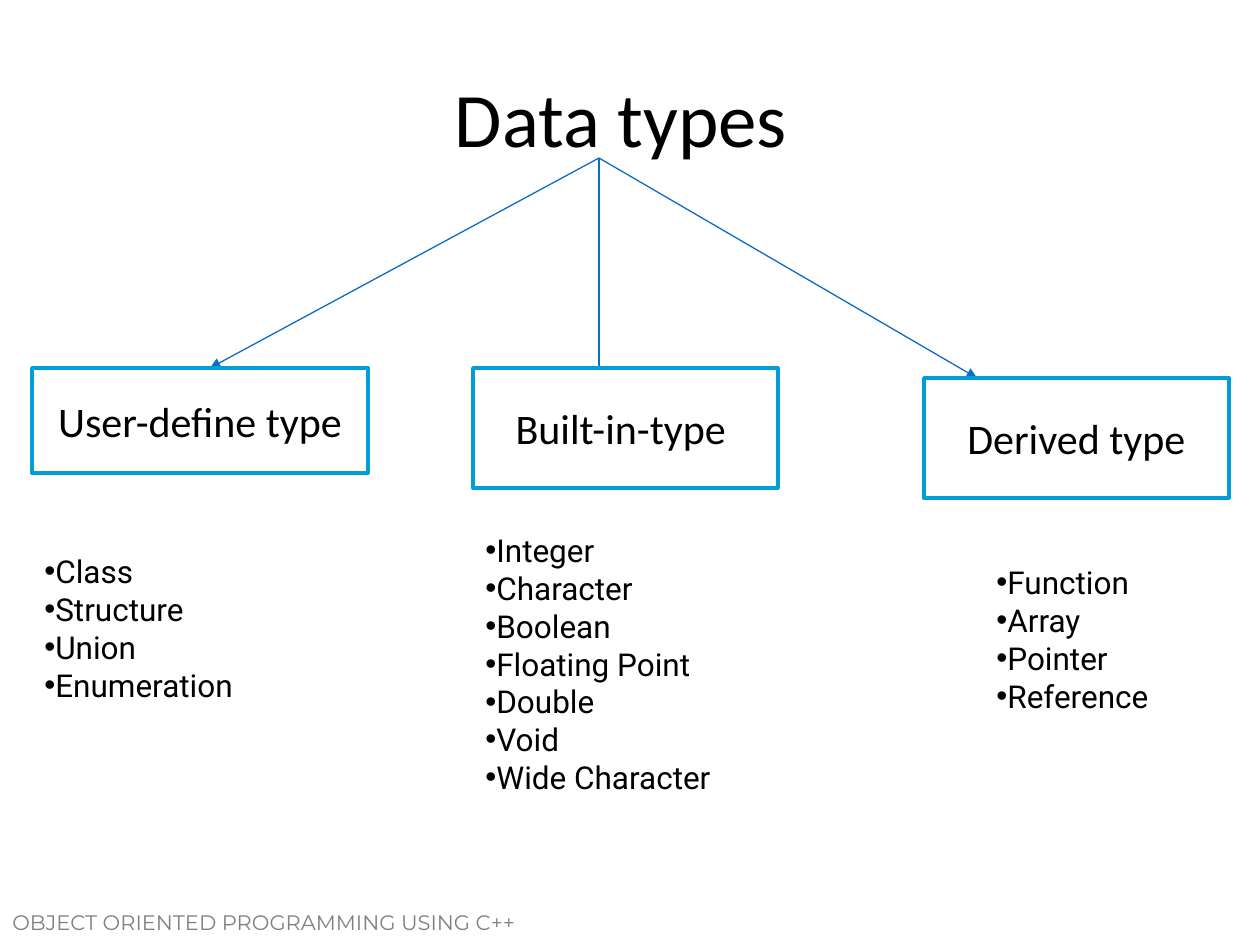
from pptx import Presentation
from pptx.dml.color import RGBColor
from pptx.enum.shapes import MSO_CONNECTOR, MSO_SHAPE
from pptx.enum.text import MSO_ANCHOR, MSO_AUTO_SIZE, PP_ALIGN
from pptx.oxml.ns import qn
from pptx.util import Emu, Pt
from lxml.etree import SubElement

SCALE = 914400 / 126
BLACK = "000000"
ROOT = (599, 158)

# Heading, its box, arrow tip, list box, list items
BRANCHES = [
    ("User-define type", (32, 368, 336, 105), (210, 368), (32, 546, 217, 204),
     ["Class", "Structure", "Union", "Enumeration"]),
    ("Built-in-type ", (473, 368, 305, 120), (599, 378), (473, 525, 257, 318),
     ["Integer", "Character", "Boolean", "Floating Point", "Double", "Void",
      "Wide Character"]),
    ("Derived type", (924, 378, 305, 120), (977, 378), (984, 557, 183, 204),
     ["Function", "Array", "Pointer", "Reference"]),
]


def px(*values):
    """Turn pixels into EMU."""
    return [Emu(round(value * SCALE)) for value in values]


def color(code):
    """Turn a hex string into a colour."""
    return RGBColor.from_string(code)


def add_run(paragraph, text, size, font, code=BLACK):
    """Add one formatted run to a paragraph."""
    run = paragraph.add_run()
    run.text = text
    run.font.size = Pt(size)
    run.font.name = font
    run.font.color.rgb = color(code)


def add_label(slide, box, text, size, font, code=BLACK,
              align=PP_ALIGN.LEFT, anchor=MSO_ANCHOR.TOP):
    """Add a wrapped text box with a single line."""
    frame = slide.shapes.add_textbox(*px(*box)).text_frame
    frame.word_wrap = True
    frame.vertical_anchor = anchor
    paragraph = frame.paragraphs[0]
    paragraph.alignment = align
    add_run(paragraph, text, size, font, code)


def add_arrow(slide, start, end):
    """Add a thin line with a triangular head at its end."""
    connector = slide.shapes.add_connector(
        MSO_CONNECTOR.STRAIGHT, *px(*start, *end))
    connector.line.color.rgb = color("0A6DC6")
    connector.line.width = Pt(0.75)
    SubElement(connector.line._get_or_add_ln(), qn("a:tailEnd"), type="triangle")
    SubElement(connector._element.spPr, qn("a:effectLst"))


def add_type_box(slide, box, text):
    """Add an outlined box with a centred heading."""
    shape = slide.shapes.add_shape(MSO_SHAPE.RECTANGLE, *px(*box))
    shape.shadow.inherit = False
    shape.fill.solid()
    shape.fill.fore_color.rgb = color("FFFFFF")
    shape.line.color.rgb = color("009DD9")
    shape.line.width = Pt(2)
    shape.text_frame.vertical_anchor = MSO_ANCHOR.MIDDLE
    paragraph = shape.text_frame.paragraphs[0]
    paragraph.alignment = PP_ALIGN.CENTER
    add_run(paragraph, text, 24, "Calibri")


def add_bullet_list(slide, box, items):
    """Add a list whose bullets sit right before the text."""
    frame = slide.shapes.add_textbox(*px(*box)).text_frame
    frame.word_wrap = False
    frame.auto_size = MSO_AUTO_SIZE.SHAPE_TO_FIT_TEXT
    for index, item in enumerate(items):
        paragraph = frame.add_paragraph() if index else frame.paragraphs[0]
        properties = paragraph._p.get_or_add_pPr()
        properties.set("marL", "0")
        properties.set("indent", "0")
        SubElement(properties, qn("a:buFont"), typeface="Arial")
        SubElement(properties, qn("a:buChar"), char="•")
        add_run(paragraph, item, 18, "Roboto")


def main():
    """Build the slide and save it."""
    presentation = Presentation()
    presentation.slide_width, presentation.slide_height = px(1260, 945)
    slide = presentation.slides.add_slide(presentation.slide_layouts[6])

    add_label(slide, (0, 903, 630, 53), "OBJECT ORIENTED PROGRAMMING USING C++",
              12, "Montserrat", "808080")
    add_label(slide, (63, 38, 1134, 158), "Data types ", 44, "Calibri",
              align=PP_ALIGN.CENTER, anchor=MSO_ANCHOR.MIDDLE)
    for _, _, tip, _, _ in BRANCHES:
        add_arrow(slide, ROOT, tip)
    for heading, box, _, list_box, items in BRANCHES:
        add_type_box(slide, box, heading)
        add_bullet_list(slide, list_box, items)

    presentation.save("out.pptx")


main()
